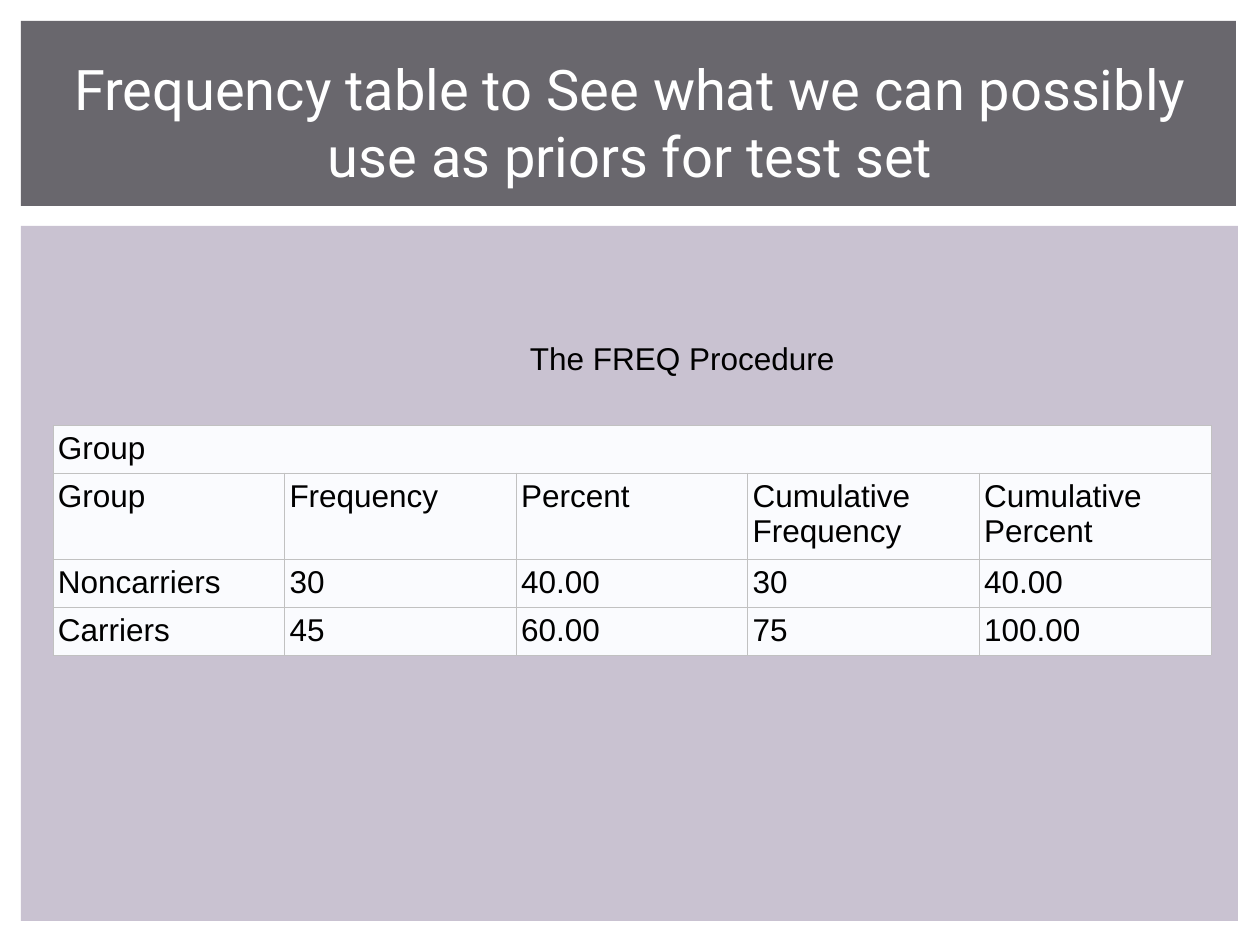
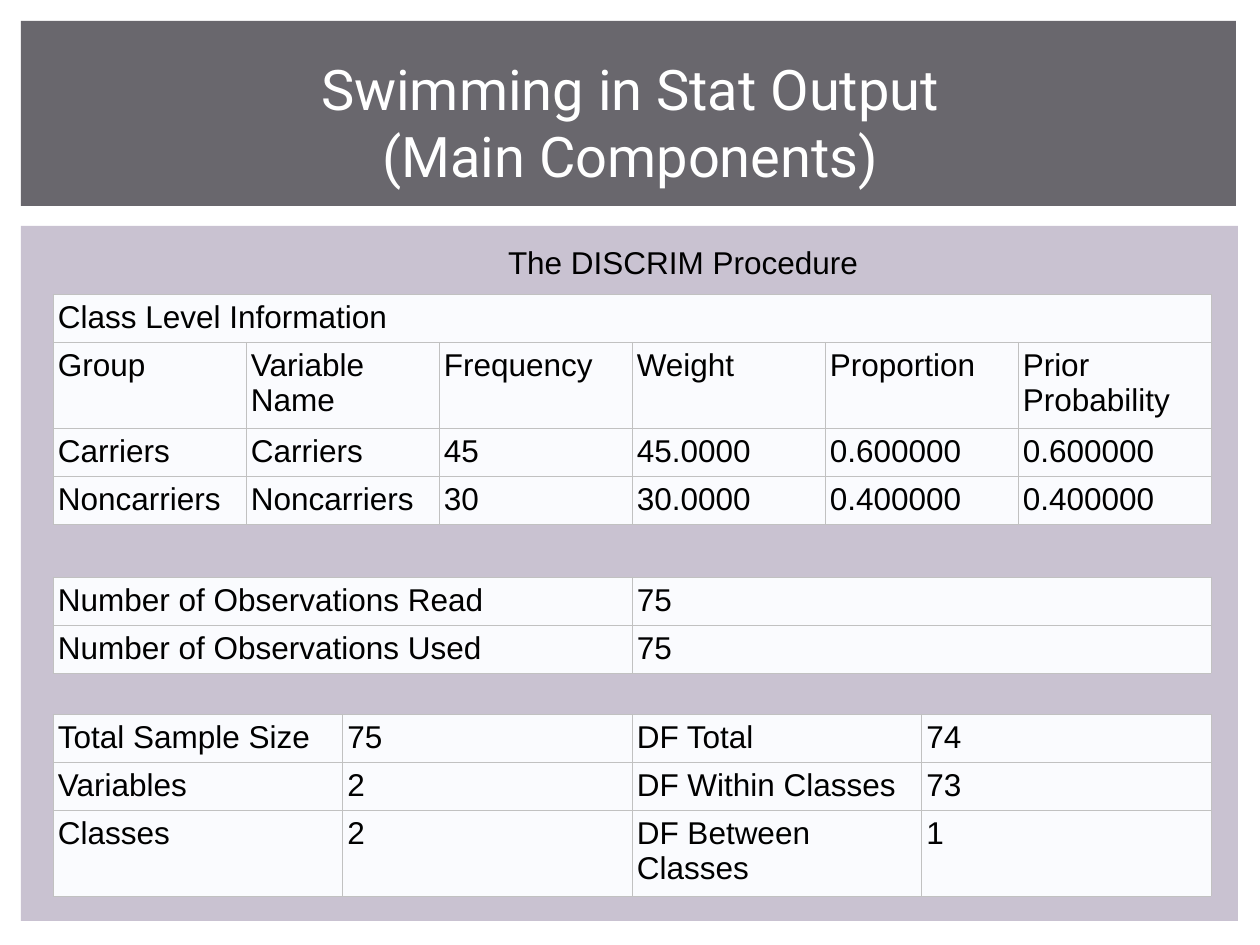
from lxml.etree import SubElement
from pptx import Presentation
from pptx.dml.color import RGBColor
from pptx.enum.shapes import MSO_SHAPE as Shape
from pptx.enum.text import MSO_ANCHOR as Anchor, PP_ALIGN as Align
from pptx.oxml.ns import qn
from pptx.util import Emu, Pt

# Content: a row with a single entry spans the whole table
SLIDES = [
    {
        "title": ["Frequency table to See what we can possibly use as priors for test set"],
        "procedure": ("The FREQ Procedure", (525, 333, 400, 48)),
        "tables": [
            (425, [
                ["Group"],
                ["Group", "Frequency", "Percent", "Cumulative\nFrequency", "Cumulative\nPercent"],
                ["Noncarriers", "30", "40.00", "30", "40.00"],
                ["Carriers", "45", "60.00", "75", "100.00"],
            ]),
        ],
    },
    {
        "title": ["Swimming in Stat Output", "(Main Components)"],
        "procedure": ("The DISCRIM Procedure", (503, 237, 400, 48)),
        "tables": [
            (714, [
                ["Total Sample Size", "75", "DF Total", "74"],
                ["Variables", "2", "DF Within Classes", "73"],
                ["Classes", "2", "DF Between Classes", "1"],
            ]),
            (577, [
                ["Number of Observations Read", "75"],
                ["Number of Observations Used", "75"],
            ]),
            (294, [
                ["Class Level Information"],
                ["Group", "Variable\nName", "Frequency", "Weight", "Proportion", "Prior\nProbability"],
                ["Carriers", "Carriers", "45", "45.0000", "0.600000", "0.600000"],
                ["Noncarriers", "Noncarriers", "30", "30.0000", "0.400000", "0.400000"],
            ]),
        ],
    },
]

# Shared look
COLORS = {"panel": "C9C2D1", "band": "69676D", "title": "FFFFFF",
          "text": "000000", "cell": "FAFBFE", "border": "C1C1C1"}
BANDS = [("panel", (21, 226, 1217, 695)), ("band", (21, 21, 1215, 185))]
TITLE_BOX = (53, 49, 1155, 145)
TABLE_LEFT, TABLE_WIDTH = 53, 1158
ROW_HEIGHT, TALL_ROW_HEIGHT = 48, 86
TWO_LINE_ENTRIES = {"DF Between Classes"}
INSET_X, INSET_TOP, INSET_BOTTOM = 5, 6, 4
BORDER_WIDTH = Pt(0.28)


def px(length):
    return Emu(round(length * 914400 / 126))


def rgb(name):
    return RGBColor.from_string(COLORS[name])


def write(frame, lines, font, size, color, align=Align.LEFT):
    paragraph = frame.paragraphs[0]
    paragraph.alignment = align
    for i, line in enumerate(lines):
        if i:
            paragraph.add_line_break()
        run = paragraph.add_run()
        run.text = line
        run.font.name, run.font.size = font, Pt(size)
        run.font.color.rgb = rgb(color)


def set_insets(holder):
    holder.margin_left = holder.margin_right = px(INSET_X)
    holder.margin_top, holder.margin_bottom = px(INSET_TOP), px(INSET_BOTTOM)


def add_bands(slide):
    for color, box in BANDS:
        band = slide.shapes.add_shape(Shape.RECTANGLE, *map(px, box))
        band.shadow.inherit = False
        band.fill.solid()
        band.fill.fore_color.rgb = rgb(color)
        band.line.fill.background()


def add_frame(slide, box):
    frame = slide.shapes.add_textbox(*map(px, box)).text_frame
    frame.word_wrap = True
    frame.vertical_anchor = Anchor.MIDDLE
    return frame


def add_title(slide, lines):
    write(add_frame(slide, TITLE_BOX), lines, "Roboto", 32, "title", Align.CENTER)


def add_procedure(slide, procedure, box):
    frame = add_frame(slide, box)
    set_insets(frame)
    write(frame, [procedure], "Arial", 18, "text")


def style_cell(cell):
    set_insets(cell)
    properties = cell._tc.get_or_add_tcPr()
    for side in ("a:lnL", "a:lnR", "a:lnT", "a:lnB"):
        line = SubElement(properties, qn(side), w=str(BORDER_WIDTH))
        fill = SubElement(line, qn("a:solidFill"))
        SubElement(fill, qn("a:srgbClr"), val=COLORS["border"])
    cell.fill.solid()
    cell.fill.fore_color.rgb = rgb("cell")


def row_height(entries):
    tall = any("\n" in entry or entry in TWO_LINE_ENTRIES for entry in entries)
    return TALL_ROW_HEIGHT if tall else ROW_HEIGHT


def add_results(slide, top, rows):
    columns = max(map(len, rows))
    heights = [row_height(entries) for entries in rows]
    box = (TABLE_LEFT, top, TABLE_WIDTH, sum(heights))
    table = slide.shapes.add_table(len(rows), columns, *map(px, box)).table
    table.first_row = table.horz_banding = False
    for column in table.columns:
        column.width = px(TABLE_WIDTH / columns)
    for r, entries in enumerate(rows):
        table.rows[r].height = px(heights[r])
        for c in range(columns):
            style_cell(table.cell(r, c))
        if len(entries) == 1:
            table.cell(r, 0).merge(table.cell(r, columns - 1))
        for c, entry in enumerate(entries):
            write(table.cell(r, c).text_frame, entry.split("\n"), "Arial", 18, "text")


def main():
    deck = Presentation()
    deck.slide_width, deck.slide_height = px(1260), px(945)
    for content in SLIDES:
        slide = deck.slides.add_slide(deck.slide_layouts[6])
        add_bands(slide)
        add_title(slide, content["title"])
        for top, rows in content["tables"]:
            add_results(slide, top, rows)
        add_procedure(slide, *content["procedure"])
    deck.save("out.pptx")


if __name__ == "__main__":
    main()
